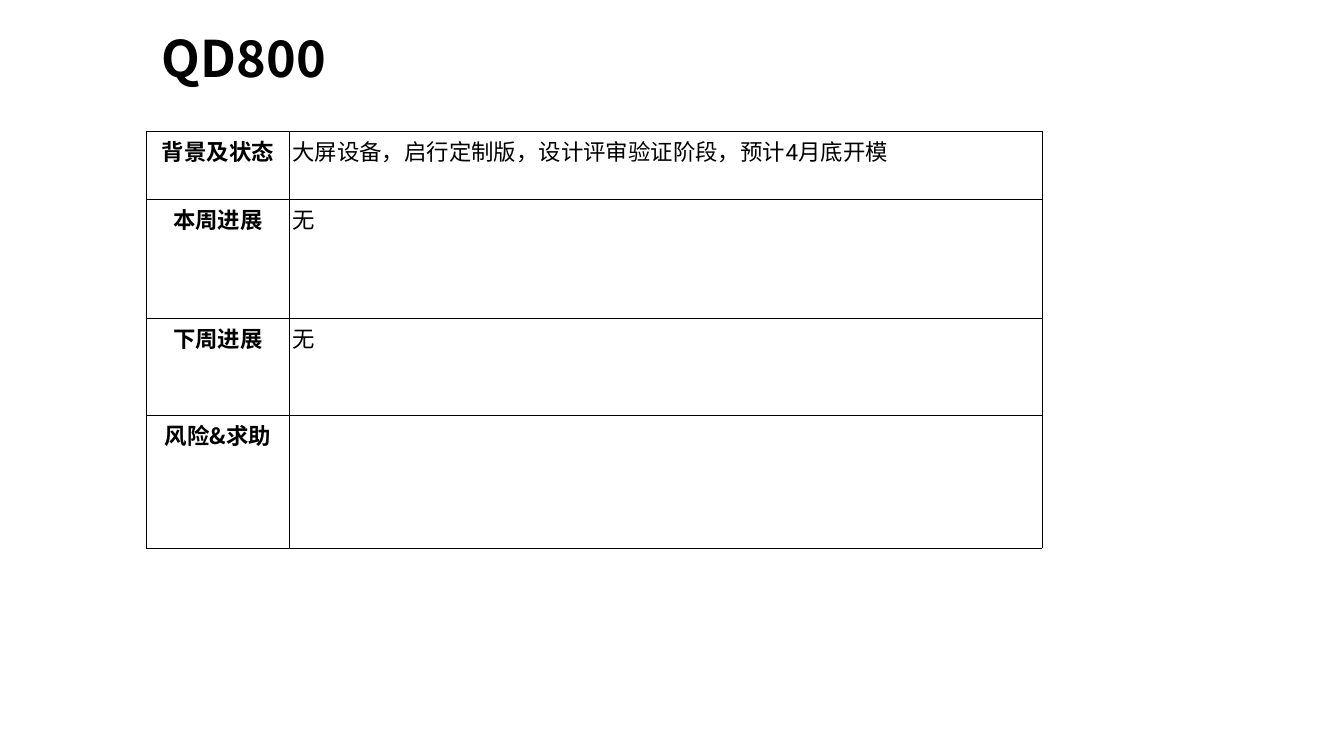
"""Build the weekly project status slide."""
import pptx
import pptx.util
import pptx.dml.color
import pptx.enum.text
import pptx.oxml
import pptx.oxml.ns

Inches, Pt = pptx.util.Inches, pptx.util.Pt
Align = pptx.enum.text.PP_ALIGN
Anchor = pptx.enum.text.MSO_ANCHOR
BLACK = pptx.dml.color.RGBColor(0, 0, 0)
HAN, LATIN = "Noto Sans CJK SC", "Roboto"
WIDE, HIGH = 26.67, 15
INSET = Inches(0.06)

TITLE = "QD800"
ROWS = [
    ("背景及状态", "大屏设备，启行定制版，设计评审验证阶段，预计4月底开模", 1.36),
    ("本周进展", "无", 2.35),
    ("下周进展", "无", 1.93),
    ("风险&求助", "", 2.63),
]
COLS = (2.83, 14.94)
STYLES = ((HAN, True, Align.CENTER), (LATIN, False, Align.LEFT))


def style(para, face, size, bold, align):
    """Format a paragraph and its runs."""
    para.alignment = align
    for font in [para.font] + [run.font for run in para.runs]:
        font.name, font.size, font.bold = face, Pt(size), bold
        font.color.rgb = BLACK
    for run in para.runs:
        props = run._r.get_or_add_rPr()
        east = pptx.oxml.parse_xml(
            f'<a:ea {pptx.oxml.ns.nsdecls("a")} typeface="{HAN}"/>')
        props.find(pptx.oxml.ns.qn("a:latin")).addnext(east)


def inset(box):
    """Give a cell or text frame equal margins."""
    box.margin_left = box.margin_right = INSET
    box.margin_top = box.margin_bottom = INSET


def border(cell):
    """Draw a thin line on every side of a cell."""
    props = cell._tc.get_or_add_tcPr()
    for spot, side in enumerate(("lnL", "lnR", "lnT", "lnB")):
        props.insert(spot, pptx.oxml.parse_xml(
            f'<a:{side} {pptx.oxml.ns.nsdecls("a")} w="{Pt(1)}"><a:solidFill>'
            f'<a:srgbClr val="{BLACK}"/></a:solidFill></a:{side}>'))


def main():
    """Lay out the title and the status table."""
    deck = pptx.Presentation()
    deck.slide_width, deck.slide_height = Inches(WIDE), Inches(HIGH)
    slide = deck.slides.add_slide(deck.slide_layouts[5])

    title = slide.shapes.title
    title.left, title.top = Inches(3.15), Inches(0.48)
    title.width, title.height = Inches(12.65), Inches(1.32)
    frame = title.text_frame
    frame.text = TITLE
    frame.vertical_anchor = Anchor.MIDDLE
    frame.auto_size = pptx.enum.text.MSO_AUTO_SIZE.NONE
    inset(frame)
    style(frame.paragraphs[0], HAN, 72, True, Align.LEFT)

    tall = sum(row[-1] for row in ROWS)
    table = slide.shapes.add_table(
        len(ROWS), len(COLS), Inches(2.91), Inches(2.6),
        Inches(sum(COLS)), Inches(tall)).table
    table.first_row = table.horz_banding = False
    for col, width in zip(table.columns, COLS):
        col.width = Inches(width)
    for row, (*texts, height) in zip(table.rows, ROWS):
        row.height = Inches(height)
        for cell, text, (face, bold, align) in zip(row.cells, texts, STYLES):
            cell.text_frame.text = text
            cell.vertical_anchor = Anchor.TOP
            inset(cell)
            cell.fill.background()
            border(cell)
            style(cell.text_frame.paragraphs[0], face, 32, bold, align)

    deck.save("out.pptx")


if __name__ == "__main__":
    main()
